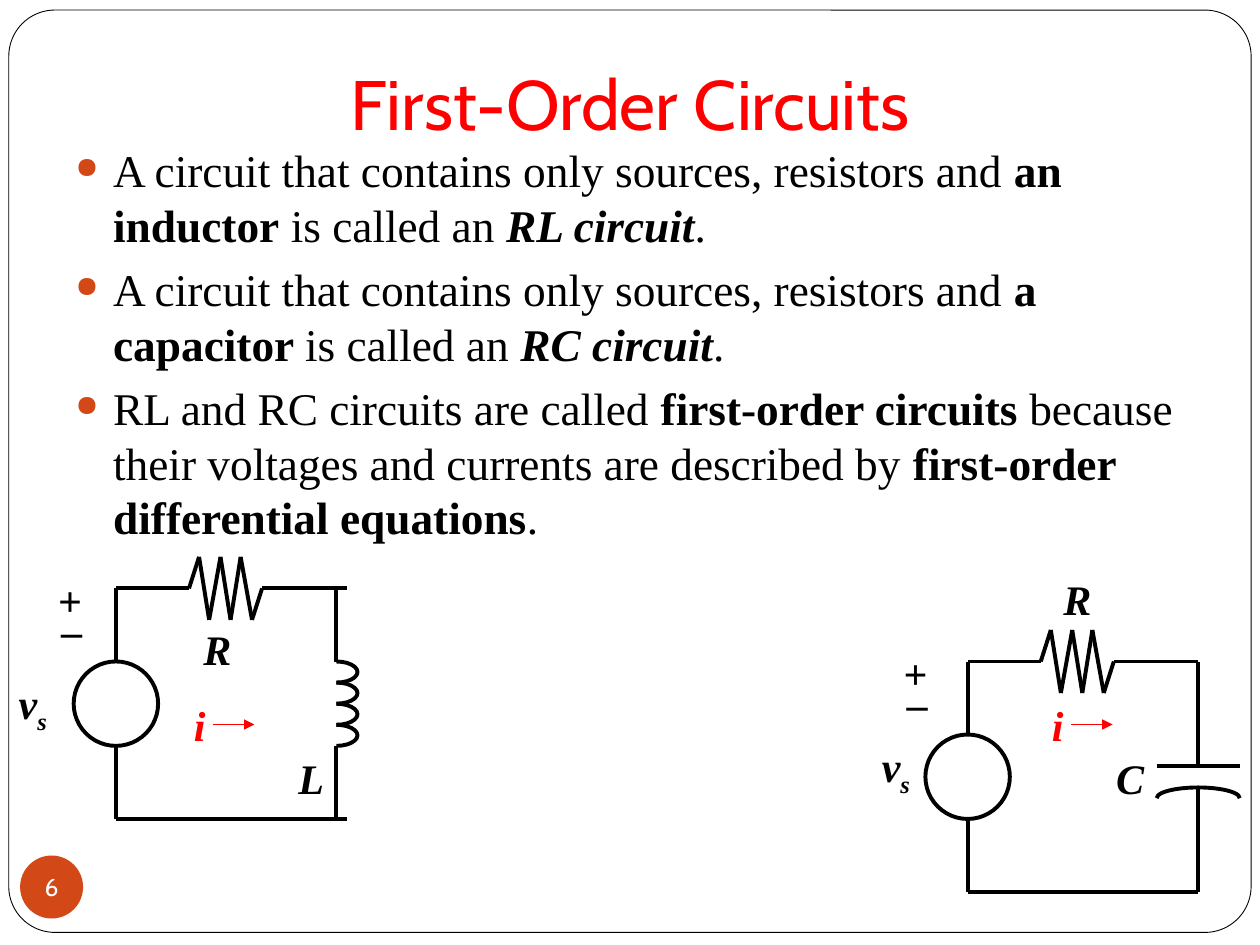
from lxml import etree
from pptx import Presentation
from pptx.dml.color import RGBColor
from pptx.enum.shapes import MSO_CONNECTOR, MSO_SHAPE
from pptx.enum.text import MSO_ANCHOR, PP_ALIGN
from pptx.oxml.ns import qn
from pptx.util import Inches, Pt

BLACK = RGBColor(0x00, 0x00, 0x00)
RED = RGBColor(0xFF, 0x00, 0x00)
WHITE = RGBColor(0xFF, 0xFF, 0xFF)
ORANGE = RGBColor(0xD3, 0x48, 0x17)
SERIF, SANS = "Times New Roman", "Cabin"
LEFT, CENTER, RIGHT = PP_ALIGN.LEFT, PP_ALIGN.CENTER, PP_ALIGN.RIGHT
STRAIGHT = MSO_CONNECTOR.STRAIGHT
OVAL, ARC, ROUNDED = MSO_SHAPE.OVAL, MSO_SHAPE.ARC, MSO_SHAPE.ROUNDED_RECTANGLE

TITLE = "First-Order Circuits"
# Each run is (text, style); style holds b for bold and i for italic.
BULLETS = [
    [("A circuit that contains only sources, resistors and ", ""), ("an inductor", "b"),
     (" is called an ", ""), ("RL circuit", "bi"), (".", "")],
    [("A circuit that contains only sources, resistors and ", ""), ("a capacitor ", "b"),
     ("is called an ", ""), ("RC circuit", "bi"), (".", "")],
    [("RL and RC circuits are called ", ""), ("first-order circuits ", "b"),
     ("because their voltages and currents are described by ", ""),
     ("first-order differential equations", "b"), (".", "")],
]
# Top left corner of each loop, then its labels as (text, left, top, width, colour).
CIRCUITS = [
    {"corner": (0.92, 4.67), "part": "inductor", "arrow": 1.69, "signs": (0.36, 4.65),
     "source": (0, 5.33),
     "labels": [("R", 1.5, 4.9, 0.45, BLACK), ("L", 2.27, 5.92, 0.4, BLACK),
                ("i", 1.44, 5.5, 0.29, RED)]},
    {"corner": (7.68, 5.25), "part": "capacitor", "arrow": 8.5, "signs": (7.07, 5.23),
     "source": (6.85, 5.83),
     "labels": [("R", 8.33, 4.5, 0.44, BLACK), ("C", 8.75, 5.92, 0.44, BLACK),
                ("i", 8.25, 5.5, 0.29, RED)]},
]
LOOP_WIDTH = LOOP_HEIGHT = 1.83
SIDE_WIRE = 0.58
SOURCE_SIZE = LOOP_HEIGHT - 2 * SIDE_WIRE
ZIGZAG = [(0, 0), (0.58, 0), (0.66, -0.25), (0.74, 0.25), (0.83, -0.25), (0.91, 0.25),
          (0.99, -0.25), (1.08, 0.25), (1.16, 0), (LOOP_WIDTH, 0)]
COIL_TURNS = 4


def style_run(run, size, font, color, style=""):
    run.font.size, run.font.name = Pt(size), font
    run.font.color.rgb = color
    run.font.bold, run.font.italic = "b" in style, "i" in style


def add_line(slide, start, end, color=BLACK, width=2.25):
    line = slide.shapes.add_connector(STRAIGHT, *map(Inches, start + end))
    line.line.color.rgb = color
    line.line.width = Pt(width)
    etree.SubElement(line._element.spPr, qn("a:effectLst"))
    return line


def add_outline(slide, kind, left, top, width, height, weight=2.25):
    shape = slide.shapes.add_shape(kind, *map(Inches, (left, top, width, height)))
    shape.shadow.inherit = False
    shape.fill.background()
    shape.line.color.rgb = BLACK
    shape.line.width = Pt(weight)
    return shape


def add_arc(slide, box, start_degrees, end_degrees):
    """Draw part of the ellipse in the box, clockwise from the right-hand side."""
    arc = add_outline(slide, ARC, *box)
    arc.adjustments[0] = start_degrees * 0.6
    arc.adjustments[1] = end_degrees * 0.6


def add_label(slide, text, left, top, width, color=BLACK, style="bi",
              height=0.5, align=CENTER, wrap=False):
    box = slide.shapes.add_textbox(*map(Inches, (left, top, width, height)))
    frame = box.text_frame
    frame.word_wrap = wrap
    frame.text = text
    for paragraph in frame.paragraphs:
        paragraph.alignment = align
        for run in paragraph.runs:
            style_run(run, 24, SERIF, color, style)
    return frame


def add_inductor(slide, x, top, bottom):
    coil_top, coil_bottom = top + SIDE_WIRE, bottom - SIDE_WIRE
    turn = (coil_bottom - coil_top) / COIL_TURNS
    for index in range(COIL_TURNS):
        add_arc(slide, (x - turn, coil_top + index * turn, 2 * turn, turn), 270, 90)
    add_line(slide, (x, top), (x, coil_top))
    add_line(slide, (x, coil_bottom), (x, bottom))


def add_capacitor(slide, x, top, bottom):
    half, plate, curve = 0.33, top + 0.83, top + 1
    add_line(slide, (x - half, plate), (x + half, plate))
    add_arc(slide, (x - half, curve, 2 * half, 0.17), 180, 0)
    add_line(slide, (x, top), (x, plate))
    add_line(slide, (x, curve), (x, bottom))


def add_circuit(slide, circuit):
    x, top = circuit["corner"]
    bottom = top + LOOP_HEIGHT
    points = [(x + dx, top + dy) for dx, dy in ZIGZAG]
    for start, end in zip(points, points[1:]):
        add_line(slide, start, end)
    add_line(slide, (x, bottom), (x + LOOP_WIDTH, bottom))
    add_line(slide, (x, top), (x, top + SIDE_WIRE))
    add_line(slide, (x, bottom - SIDE_WIRE), (x, bottom))
    add_outline(slide, OVAL, x - SOURCE_SIZE / 2, top + SIDE_WIRE, SOURCE_SIZE, SOURCE_SIZE)
    if circuit["part"] == "inductor":
        add_inductor(slide, x + 1.75, top, bottom)
    else:
        add_capacitor(slide, x + LOOP_WIDTH, top, bottom)

    for label in circuit["labels"]:
        add_label(slide, *label)
    signs = add_label(slide, "+\n–", *circuit["signs"], 0.39, style="b",
                      height=0.7, align=RIGHT)
    for paragraph in signs.paragraphs:
        paragraph.line_spacing = 0.6
    source = add_label(slide, "v", *circuit["source"], 0.52, wrap=True).paragraphs[0]
    subscript = source.add_run()
    subscript.text = "s"
    style_run(subscript, 24, SERIF, BLACK, "bi")
    subscript._r.get_or_add_rPr().set("baseline", "-25000")

    start = circuit["arrow"]
    arrow = add_line(slide, (start, 5.75), (start + 0.33, 5.75), RED, 0.75)
    etree.SubElement(arrow.line._get_or_add_ln(), qn("a:tailEnd"), type="triangle")


def add_bullets(slide):
    box = slide.shapes.add_textbox(*map(Inches, (0.5, 1.08, 9, 3.11)))
    frame = box.text_frame
    frame.word_wrap = True
    for index, runs in enumerate(BULLETS):
        paragraph = frame.add_paragraph() if index else frame.paragraphs[0]
        paragraph.alignment = LEFT
        paragraph.space_before = Pt(5.8)
        for text, style in runs:
            run = paragraph.add_run()
            run.text = text
            style_run(run, 25.9, SERIF, BLACK, style)
        properties = paragraph._p.get_or_add_pPr()
        properties.set("marL", str(Inches(0.3)))
        properties.set("indent", str(-Inches(0.3)))
        color = etree.SubElement(properties, qn("a:buClr"))
        etree.SubElement(color, qn("a:srgbClr"), val=str(ORANGE))
        etree.SubElement(properties, qn("a:buSzPct"), val="65000")
        etree.SubElement(properties, qn("a:buChar"), char="●")


def add_slide_number(slide):
    badge = add_outline(slide, OVAL, 0.16, 6.79, 0.5, 0.5)
    badge.fill.solid()
    badge.fill.fore_color.rgb = ORANGE
    badge.line.fill.background()
    frame = badge.text_frame
    frame.margin_left = frame.margin_right = frame.margin_top = frame.margin_bottom = 0
    frame.word_wrap = False
    frame.vertical_anchor = MSO_ANCHOR.MIDDLE
    frame.text = "6"
    frame.paragraphs[0].alignment = CENTER
    style_run(frame.paragraphs[0].runs[0], 14, SANS, WHITE)


def main():
    presentation = Presentation()
    presentation.slide_width, presentation.slide_height = Inches(10), Inches(7.5)
    slide = presentation.slides.add_slide(presentation.slide_layouts[5])
    border = add_outline(slide, ROUNDED, 0.07, 0.08, 9.86, 7.32, 0.5)
    border.adjustments[0] = 0.05

    title = slide.shapes.title
    title.left, title.top, title.width, title.height = map(Inches, (0.5, 0, 9, 1.25))
    title.text_frame.text = TITLE
    title.text_frame.vertical_anchor = MSO_ANCHOR.BOTTOM
    title.text_frame.margin_bottom = Inches(0.1)
    title.text_frame.paragraphs[0].alignment = CENTER
    style_run(title.text_frame.paragraphs[0].runs[0], 40, SANS, RED)

    add_bullets(slide)
    for circuit in CIRCUITS:
        add_circuit(slide, circuit)
    add_slide_number(slide)
    presentation.save("out.pptx")


if __name__ == "__main__":
    main()
